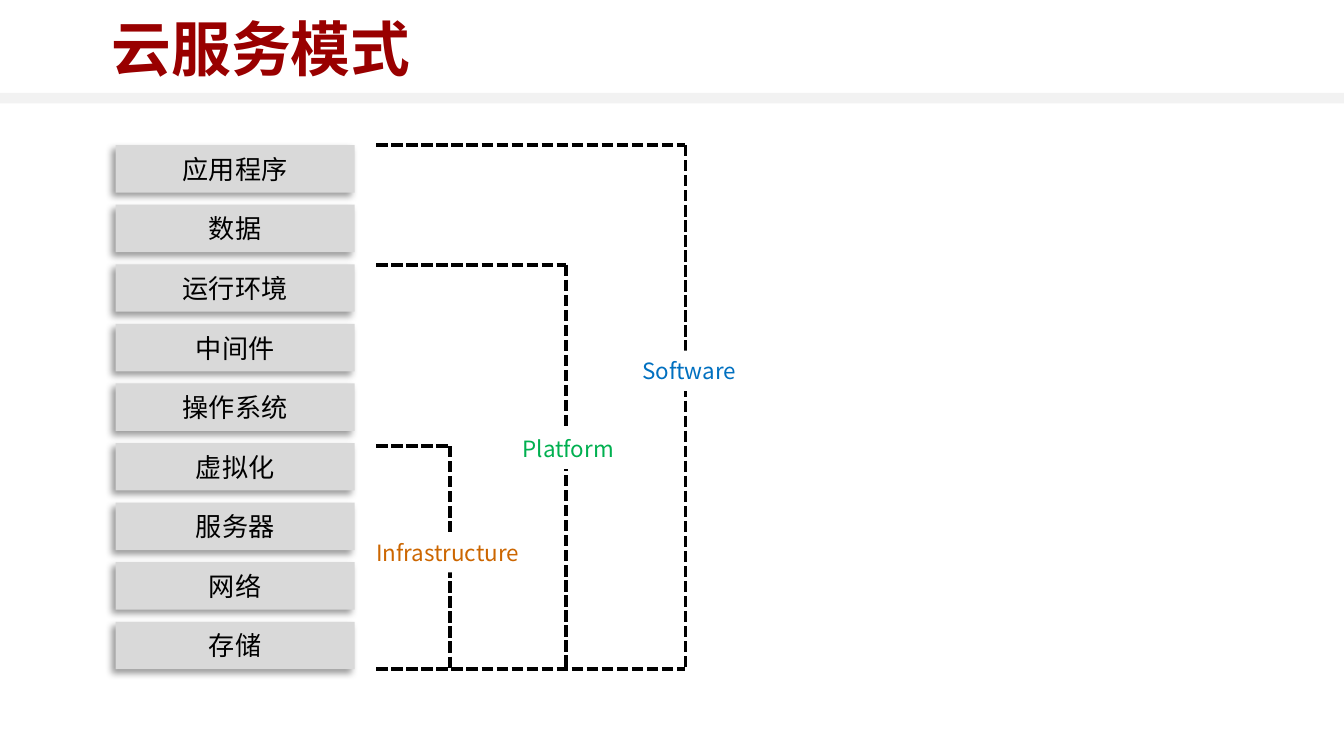
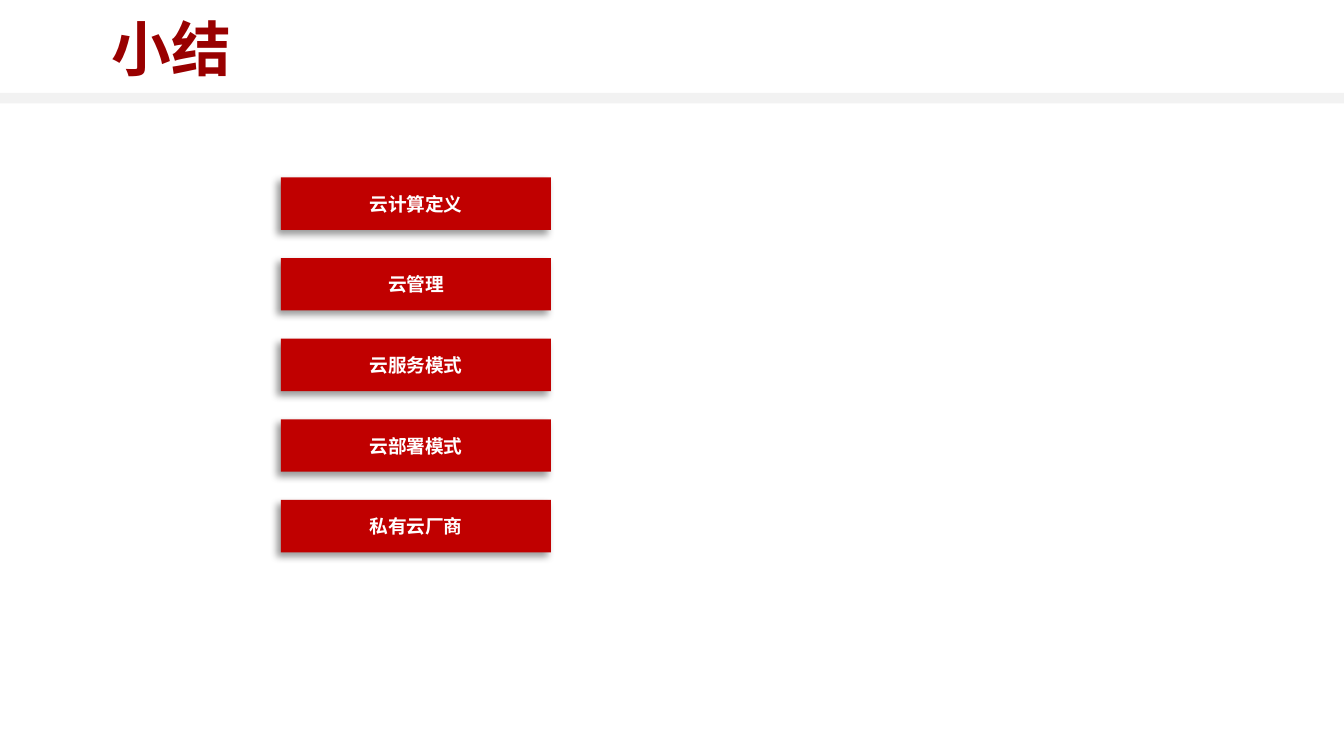
from pptx import Presentation
from pptx.dml.color import RGBColor
from pptx.enum.dml import MSO_LINE
from pptx.enum.shapes import MSO_CONNECTOR, MSO_SHAPE
from pptx.enum.text import MSO_ANCHOR, MSO_AUTO_SIZE, PP_ALIGN
from pptx.oxml import parse_xml
from pptx.oxml.ns import nsdecls, qn
from pptx.util import Inches, Pt
from lxml import etree

RECT, STRAIGHT = MSO_SHAPE.RECTANGLE, MSO_CONNECTOR.STRAIGHT
LEFT, CENTER = PP_ALIGN.LEFT, PP_ALIGN.CENTER
TOP, MIDDLE = MSO_ANCHOR.TOP, MSO_ANCHOR.MIDDLE
FONT = "Noto Sans CJK SC"
BLACK, WHITE = "000000", "FFFFFF"
TITLE_RED, TOPIC_RED, GREY, BAND_GREY = "990000", "C00000", "D9D9D9", "F2F2F2"
W = 10
H = W * 9 / 16

# Content
MODES_TITLE = "云服务模式"
LAYERS = ["应用程序", "数据", "运行环境", "中间件", "操作系统",
          "虚拟化", "服务器", "网络", "存储"]
# Label, colour, bracket x, bracket top, label box
MODES = [
    ("Infrastructure", "CC6600", 3.35, 3.32, (2.7, 3.96, 1.29, 0.3)),
    ("Platform", "00B050", 4.21, 1.97, (3.79, 3.19, 0.89, 0.3)),
    ("Software", "0070C0", 5.1, 1.08, (4.68, 2.61, 0.91, 0.3)),
]
SUMMARY_TITLE = "小结"
TOPICS = ["云计算定义", "云管理", "云服务模式", "云部署模式", "私有云厂商"]

# Stacks: left, top, width, bottom, gap
LAYER_STACK = (0.86, 1.08, 1.78, 4.98, 0.09)
TOPIC_STACK = (2.09, 1.32, 2.01, 4.11, 0.21)
BRACKET_LEFT = 2.8


def rgb(color):
    return RGBColor.from_string(color)


def write(shape, text, size, color, bold=False, align=CENTER, anchor=MIDDLE):
    tf = shape.text_frame
    tf.text = text
    tf.vertical_anchor = anchor
    p = tf.paragraphs[0]
    p.alignment = align
    font = p.runs[0].font
    font.name, font.size, font.bold = FONT, Pt(size), bold
    font.color.rgb = rgb(color)
    ea = etree.SubElement(p.runs[0]._r.get_or_add_rPr(), qn("a:ea"))
    ea.set("typeface", FONT)
    return tf


def add_rect(s, box, fill, shadow=False):
    sp = s.shapes.add_shape(RECT, *map(Inches, box))
    sp.fill.solid()
    sp.fill.fore_color.rgb = rgb(fill)
    sp.line.fill.background()
    sp.shadow.inherit = False
    if shadow:
        sp.element.spPr.find(qn("a:effectLst")).append(parse_xml(
            f'<a:outerShdw {nsdecls("a")} blurRad="{Pt(4)}" dist="{Pt(3)}" '
            f'dir="{135 * 60000}" algn="tr" rotWithShape="0">'
            f'<a:srgbClr val="{BLACK}"><a:alpha val="40000"/></a:srgbClr>'
            '</a:outerShdw>'))
    return sp


def add_stack(s, texts, stack, fill, size, color, bold=False):
    left, top, width, bottom, gap = stack
    pitch = (bottom - top + gap) / len(texts)
    for i, text in enumerate(texts):
        box = (left, top + i * pitch, width, pitch - gap)
        write(add_rect(s, box, fill, shadow=True), text, size, color, bold)


def add_dashes(s, x1, y1, x2, y2):
    line = s.shapes.add_connector(STRAIGHT, *map(Inches, (x1, y1, x2, y2)))
    line.line.color.rgb = rgb(BLACK)
    line.line.width = Pt(2)
    line.line.dash_style = MSO_LINE.SQUARE_DOT
    etree.SubElement(line.element.spPr, qn("a:effectLst"))


def add_slide(prs, title):
    s = prs.slides.add_slide(prs.slide_layouts[5])
    sp = s.shapes.title
    sp.left, sp.top, sp.width, sp.height = map(Inches, (0.83, 0, 8.35, 0.71))
    tf = write(sp, title, 32, TITLE_RED, bold=True, align=LEFT)
    tf.auto_size = MSO_AUTO_SIZE.NONE
    tf.margin_left, tf.margin_right = 0, Inches(0.09)
    tf.margin_top = tf.margin_bottom = Inches(0.04)
    return s


def build_modes(s):
    add_stack(s, LAYERS, LAYER_STACK, GREY, 14, BLACK)
    # Brackets share one base line
    bottom = LAYER_STACK[3]
    add_dashes(s, BRACKET_LEFT, bottom, max(m[2] for m in MODES), bottom)
    for _, _, x, top, _ in MODES:
        add_dashes(s, BRACKET_LEFT, top, x, top)
        add_dashes(s, x, top, x, bottom)
    # Labels interrupt the vertical lines
    for text, color, _, _, box in MODES:
        tf = write(add_rect(s, box, WHITE), text, 12, color,
                   align=LEFT, anchor=TOP)
        tf.word_wrap = False
        tf.auto_size = MSO_AUTO_SIZE.SHAPE_TO_FIT_TEXT


def main():
    prs = Presentation()
    prs.slide_width, prs.slide_height = Inches(W), Inches(H)

    modes = add_slide(prs, MODES_TITLE)
    # The band under the title belongs to the shared layout
    band = add_rect(modes, (0, 0.69, W, 0.08), BAND_GREY)
    modes.slide_layout.shapes.element.append(band.element)
    build_modes(modes)

    summary = add_slide(prs, SUMMARY_TITLE)
    add_stack(summary, TOPICS, TOPIC_STACK, TOPIC_RED, 10, WHITE, bold=True)
    prs.save("out.pptx")


if __name__ == "__main__":
    main()
